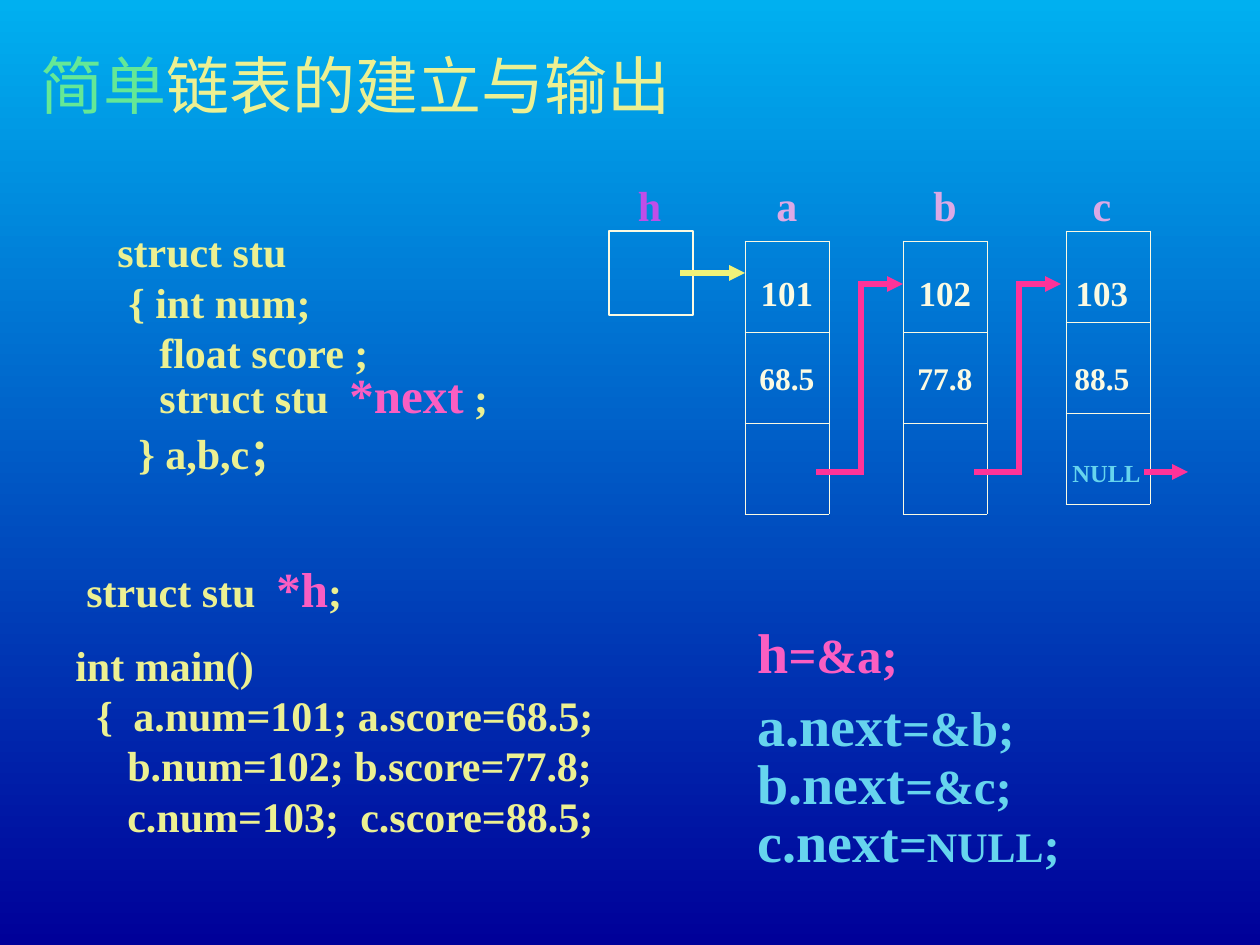
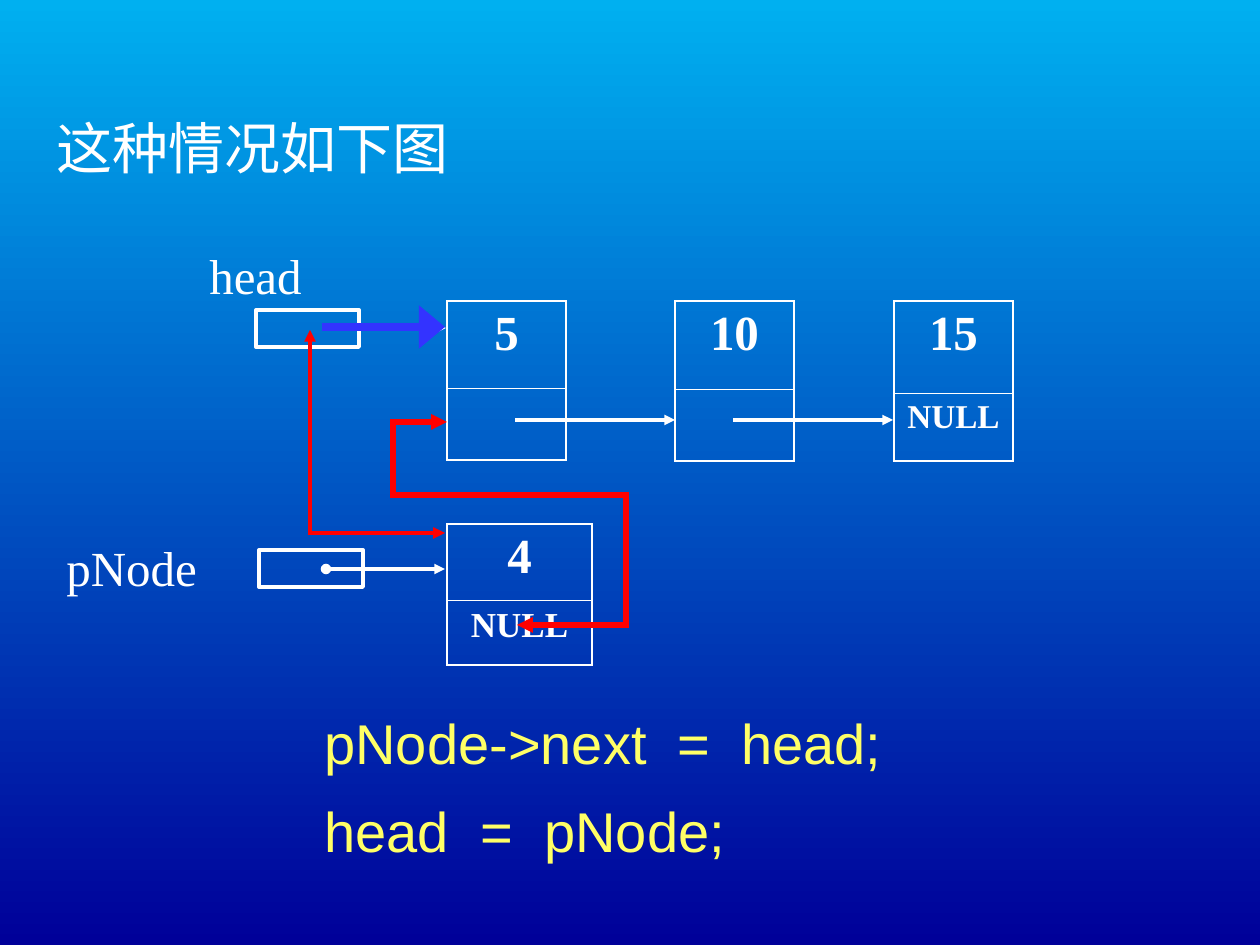
import dataclasses
import itertools
import typing

import pptx
import pptx.dml.color
import pptx.enum.shapes
import pptx.enum.text
import pptx.oxml.ns
import pptx.util
from lxml import etree

SCALE = 914400 / 126
WIDTH, HEIGHT = 1260, 945
SERIF, SANS = "Times New Roman", "Arial"
COLORS = {
    "sky": "00B0F0", "navy": "000099", "white": "FFFFFF", "cream": "FBFAE2",
    "code": "ECF092", "pink": "FA5EC2", "arrow": "FF3399", "cyan": "66D4EE",
    "lilac": "DCA9E5", "purple": "C04EE8", "green": "64E896", "lemon": "F0F379",
    "yellow": "FFFF66", "blue": "3333FF", "red": "FF0000",
}
ALIGN = pptx.enum.text.PP_ALIGN
ANCHOR = pptx.enum.text.MSO_ANCHOR
qn = pptx.oxml.ns.qn


class Box(typing.NamedTuple):
    x: int
    y: int
    w: int
    h: int


class Run(typing.NamedTuple):
    """Text with its own size or colour where it differs from the line."""
    text: str
    size: int | None = None
    color: str | None = None


@dataclasses.dataclass(frozen=True)
class Line:
    """One paragraph; stops are tab positions in px from the text edge."""
    runs: tuple[Run, ...]
    size: int = 24
    color: str = "code"
    bold: bool = True
    face: str = SERIF
    stops: tuple[int, ...] = ()
    before: int = 0
    align: ALIGN = ALIGN.LEFT


@dataclasses.dataclass(frozen=True)
class Label:
    box: Box
    lines: tuple[Line, ...]
    anchor: ANCHOR = ANCHOR.MIDDLE


@dataclasses.dataclass(frozen=True)
class Grid:
    """A one-column table; an empty text leaves its cell blank."""
    x: int
    y: int
    w: int
    rows: tuple[int, ...]
    texts: tuple[str, ...] = ()
    sizes: tuple[int, ...] = ()
    color: str = "white"
    outer: float = 0
    inner: float = 0
    anchor: ANCHOR = ANCHOR.TOP
    first_margin: int = 6


@dataclasses.dataclass(frozen=True)
class Route:
    points: tuple[tuple[int, int], ...]
    color: str
    width: float
    head: str = "none"
    tail: str = "triangle"
    tail_width: str = "med"


def px(n: float) -> int:
    return pptx.util.Emu(round(n * SCALE))


def rgb(name: str) -> pptx.dml.color.RGBColor:
    return pptx.dml.color.RGBColor.from_string(COLORS[name])


def line(text: str, *stops: int, **style: typing.Any) -> Line:
    return Line((Run(text),), stops=stops, **style)


def write(p: typing.Any, item: Line) -> None:
    if item.stops:
        tabs = etree.SubElement(p._p.get_or_add_pPr(), qn("a:tabLst"))
        for stop in item.stops:
            etree.SubElement(tabs, qn("a:tab"), pos=str(px(stop)), algn="l")
    p.alignment = item.align
    if item.before:
        p.space_before = pptx.util.Pt(item.before)
    p.font.name, p.font.bold = item.face, item.bold
    p.font.size = pptx.util.Pt(item.size)
    p.font.color.rgb = rgb(item.color)
    for run in item.runs:
        r = p.add_run()
        r.text = run.text
        if run.size:
            r.font.size = pptx.util.Pt(run.size)
        if run.color:
            r.font.color.rgb = rgb(run.color)


def draw_label(s: typing.Any, label: Label) -> None:
    tf = s.shapes.add_textbox(*map(px, label.box)).text_frame
    tf.word_wrap = False
    tf.vertical_anchor = label.anchor
    for i, item in enumerate(label.lines):
        write(tf.add_paragraph() if i else tf.paragraphs[0], item)


def draw_frame(s: typing.Any, box: Box, color: str, width: float) -> None:
    sp = s.shapes.add_shape(pptx.enum.shapes.MSO_SHAPE.RECTANGLE, *map(px, box))
    sp.shadow.inherit = False
    sp.fill.background()
    sp.line.color.rgb = rgb(color)
    sp.line.width = pptx.util.Pt(width)


def set_borders(cell: typing.Any, color: str, widths: tuple[float, ...]) -> None:
    """Widths in points for left, right, top and bottom; 0 hides the edge."""
    tc_pr = cell._tc.get_or_add_tcPr()
    for i, (edge, width) in enumerate(zip("LRTB", widths)):
        ln = etree.Element(qn(f"a:ln{edge}"), w=str(pptx.util.Pt(width)))
        if width:
            fill = etree.SubElement(ln, qn("a:solidFill"))
            etree.SubElement(fill, qn("a:srgbClr"), val=COLORS[color])
        else:
            etree.SubElement(ln, qn("a:noFill"))
        tc_pr.insert(i, ln)


def draw_grid(s: typing.Any, grid: Grid) -> None:
    box = Box(grid.x, grid.y, grid.w, sum(grid.rows))
    table = s.shapes.add_table(len(grid.rows), 1, *map(px, box)).table
    table.first_row = table.horz_banding = False
    last = len(grid.rows) - 1
    for i, height in enumerate(grid.rows):
        table.rows[i].height = px(height)
        cell = table.cell(i, 0)
        cell.fill.background()
        cell.vertical_anchor = grid.anchor
        set_borders(cell, grid.color, (
            grid.outer, grid.outer,
            grid.inner if i else grid.outer,
            grid.inner if i < last else grid.outer))
        if i == 0:
            cell.margin_top = px(grid.first_margin)
        if i < len(grid.texts) and grid.texts[i]:
            write(cell.text_frame.paragraphs[0], line(
                grid.texts[i], size=grid.sizes[i], color=grid.color,
                align=ALIGN.CENTER))


def draw_route(s: typing.Any, route: Route) -> None:
    """Joins the points with straight lines; arrowheads sit at the two ends."""
    legs = list(itertools.pairwise(route.points))
    for i, (a, b) in enumerate(legs):
        cxn = s.shapes.add_connector(
            pptx.enum.shapes.MSO_CONNECTOR.STRAIGHT, *map(px, a + b))
        cxn.line.color.rgb = rgb(route.color)
        cxn.line.width = pptx.util.Pt(route.width)
        sp_pr = cxn._element.spPr
        ln = sp_pr.find(qn("a:ln"))
        ln.set("cap", "sq")
        if i == 0:
            etree.SubElement(ln, qn("a:headEnd"), type=route.head)
        if i == len(legs) - 1:
            etree.SubElement(ln, qn("a:tailEnd"), type=route.tail, w=route.tail_width)
        etree.SubElement(sp_pr, qn("a:effectLst"))


def add_slide(prs: typing.Any) -> typing.Any:
    s = prs.slides.add_slide(prs.slide_layouts[6])
    fill = s.background.fill
    fill.gradient()
    fill.gradient_angle = 270
    for stop, name in zip(fill.gradient_stops, ("sky", "navy")):
        stop.color.rgb = rgb(name)
    return s


def pointer_line(name: str, tail: str = "") -> Line:
    return Line((Run("\tstruct stu\t"), Run(name, 28, "pink"), Run(tail + ";")),
                stops=(11, 201))


def assignment(y: int, h: int, target: str, color: str, *value: Run) -> Label:
    return Label(Box(745, y, 360, h), (Line((Run(target, 32), *value), 28, color),))


def build_list_slide(prs: typing.Any) -> None:
    s = add_slide(prs)
    nodes = (("a", 745, 241, 745, 729, "101", "68.5"),
             ("b", 903, 241, 903, 887, "102", "77.8"),
             ("c", 1066, 231, 1060, 1044, "103", "88.5"))
    for name, x, y, value_x, name_x, num, score in nodes:
        draw_grid(s, Grid(x, y, 84, (91,) * 3, color="cream", outer=0.45, inner=0.45))
        draw_grid(s, Grid(value_x, 242, 84, (97, 81), (num, score), (20, 18), "cream",
                          anchor=ANCHOR.MIDDLE, first_margin=15))
        draw_label(s, Label(Box(name_x, 178, 116, 53),
                            (line(name, color="lilac", align=ALIGN.CENTER),)))
    draw_label(s, Label(Box(618, 178, 63, 53),
                        (line("h", color="purple", align=ALIGN.CENTER),)))
    draw_frame(s, Box(609, 231, 84, 84), "cream", 1)
    draw_route(s, Route(((683, 273), (745, 273)), "lemon", 3))
    for x in (819, 977):
        draw_route(s, Route(((x, 472), (x + 42, 472), (x + 42, 284), (x + 84, 284)),
                            "arrow", 3))
    draw_route(s, Route(((1147, 472), (1188, 472)), "arrow", 3))

    labels = (
        Label(Box(16, 42, 680, 84), (
            Line((Run("简单", color="green"), Run("链表的建立与输出")), 36,
                 bold=False, align=ALIGN.CENTER),)),
        Label(Box(84, 179, 431, 346), (
            line("\tstruct stu", 21), line("\t{ int num;", 32),
            line("\tfloat score ;", 63), line("\t} a,b,c；", 42, before=29))),
        Label(Box(136, 367, 400, 53), (pointer_line("*next", " "),)),
        Label(Box(63, 546, 305, 84), (pointer_line("*h"),)),
        Label(Box(63, 609, 580, 262), (
            line("int main()"),
            line("\t{\ta.num=101; a.score=68.5;", 21, 58),
            line("\tb.num=102; b.score=77.8;", 52),
            line("\tc.num=103;\tc.score=88.5;", 52, 285))),
        Label(Box(1060, 441, 120, 63), (line("NULL", size=14, color="cyan"),)),
        assignment(620, 63, "h", "pink", Run("=&a;")),
        assignment(693, 63, "a.next", "cyan", Run("=&b;")),
        assignment(756, 53, "b.next", "cyan", Run("=&c;")),
        assignment(809, 63, "c.next", "cyan", Run("="), Run("NULL", 24), Run(";")),
    )
    for label in labels:
        draw_label(s, label)


def build_insert_slide(prs: typing.Any) -> None:
    s = add_slide(prs)
    for x, y, w, rows, texts, null_size in (
            (447, 301, 119, (87, 72), ("5", ""), 20),
            (675, 301, 119, (88, 72), ("10", ""), 20),
            (447, 524, 145, (76, 65), ("4", "NULL"), 20),
            (894, 301, 119, (92, 68), ("15", "NULL"), 19)):
        draw_grid(s, Grid(x, y, w, rows, texts, (28, null_size), outer=1.08, inner=0.45))
    for box in (Box(256, 310, 103, 37), Box(259, 550, 104, 37)):
        draw_frame(s, box, "white", 2.25)
    for route in (
            Route(((326, 328), (446, 328)), "white", 2),
            Route(((517, 420), (675, 420)), "white", 2),
            Route(((735, 420), (893, 420)), "white", 2),
            Route(((326, 569), (445, 569)), "white", 2, head="oval"),
            Route(((326, 327), (445, 327)), "blue", 5, tail_width="lg"),
            Route(((517, 625), (626, 625), (626, 495), (393, 495), (393, 422),
                   (447, 422)), "red", 3, head="triangle"),
            Route(((310, 330), (310, 533), (445, 533)), "red", 2.25, head="triangle")):
        draw_route(s, route)

    plain = {"color": "white", "bold": False}
    code = {"color": "yellow", "bold": False, "face": SANS, "size": 32}
    for box, lines in (
            (Box(44, 107, 473, 81), (line("这种情况如下图", size=32, **plain),)),
            (Box(197, 239, 212, 72), (line("head", size=28, **plain),)),
            (Box(54, 531, 249, 72), (line("pNode", size=28, **plain),)),
            (Box(312, 702, 620, 169), (
                line("pNode->next\t=\thead;", 353, 417, **code),
                line("head\t=\tpNode;", 156, 220, before=12, **code)))):
        draw_label(s, Label(box, lines, ANCHOR.TOP))


def main() -> None:
    prs = pptx.Presentation()
    prs.slide_width, prs.slide_height = px(WIDTH), px(HEIGHT)
    build_list_slide(prs)
    build_insert_slide(prs)
    prs.save("out.pptx")


if __name__ == "__main__":
    main()
